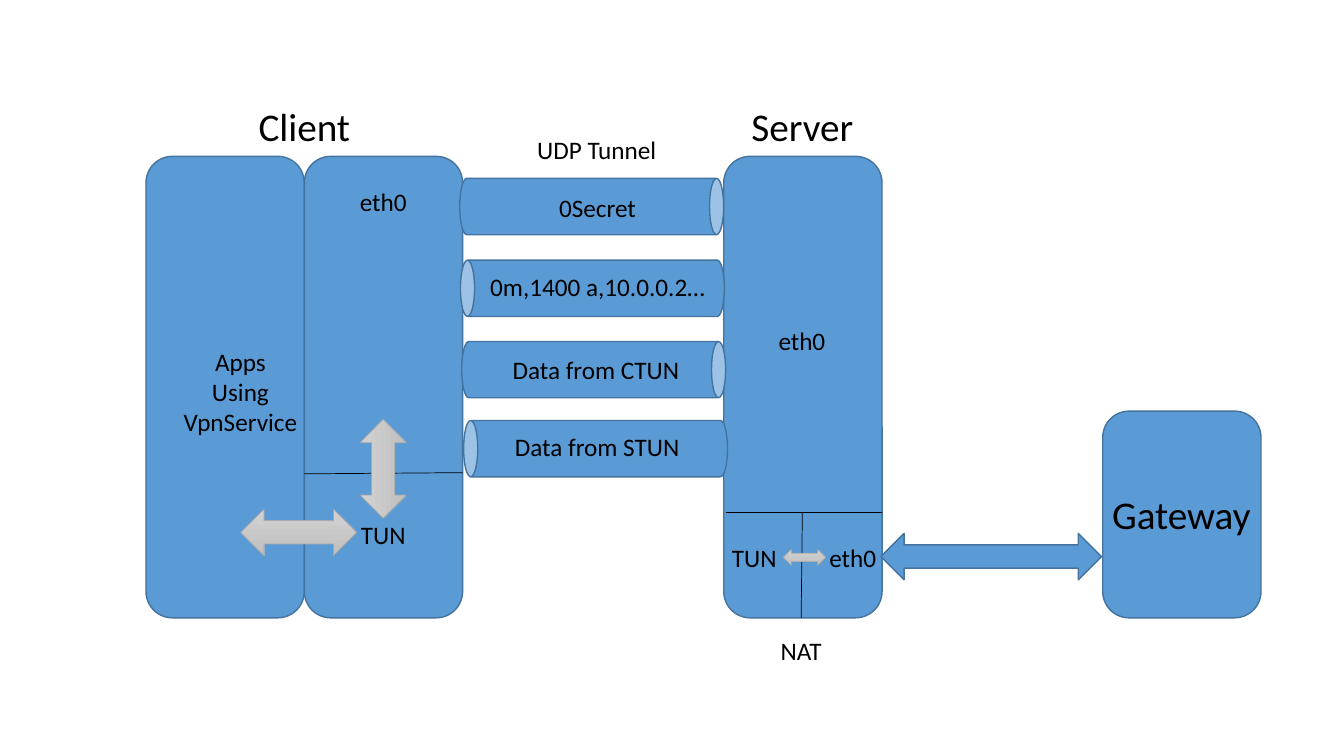
from typing import NamedTuple, Optional

from lxml import etree
from pptx import Presentation
from pptx import util as u
from pptx.dml.color import RGBColor
from pptx.enum import shapes, text
from pptx.oxml.ns import qn

BLUE = RGBColor(0x5B, 0x9B, 0xD5)
NAVY = RGBColor(0x43, 0x73, 0x9E)
BLACK = RGBColor(0, 0, 0)
GREY = RGBColor(0xA5, 0xA5, 0xA5)
GREY_TOP = RGBColor(0xD2, 0xD2, 0xD2)
GREY_BOTTOM = RGBColor(0xC0, 0xC0, 0xC0)

ROUNDED = shapes.MSO_SHAPE.ROUNDED_RECTANGLE
CAN = shapes.MSO_SHAPE.CAN
ARROW = shapes.MSO_SHAPE.LEFT_RIGHT_ARROW

BOX_W, BOX_TOP, BOX_H = 3.99, 3.94, 11.63
APPS_X, CLIENT_X, SERVER_X, GATEWAY_X = 3.68, 7.67, 18.24, 27.79
CAN_W, CAN_H = 1.42, 6.65
ARROW_H = 1.17
TITLE, BODY = 28, 18


class Block(NamedTuple):
    kind: shapes.MSO_SHAPE
    x: float
    y: float
    w: float
    h: float
    rotation: int = 0
    grey: bool = False


class Divider(NamedTuple):
    x1: float
    y1: float
    x2: float
    y2: float


class Label(NamedTuple):
    words: str
    center: float
    y: float
    w: float = 3.53
    size: int = BODY


class Tunnel(NamedTuple):
    x: float
    y: float
    rotation: int
    label: Label


BOXES = [
    Block(ROUNDED, APPS_X, BOX_TOP, BOX_W, BOX_H),
    Block(ROUNDED, CLIENT_X, BOX_TOP, BOX_W, BOX_H),
    Block(ROUNDED, SERVER_X, BOX_TOP, BOX_W, BOX_H),
    Block(ROUNDED, GATEWAY_X, 10.36, BOX_W, 5.21),
]
DIVIDERS = [
    Divider(CLIENT_X, 11.94, CLIENT_X + BOX_W, 11.91),
    Divider(18.29, 12.9, SERVER_X + BOX_W, 12.9),
    Divider(20.19, BOX_TOP + BOX_H, 20.22, 12.9),
]
TUNNELS = [
    Tunnel(14.2, 1.88, 90, Label("0Secret", 15.06, 4.72)),
    Tunnel(14.22, 3.94, 270, Label("0m,1400 a,10.0.0.2…", 15.06, 6.71, 6.45)),
    Tunnel(14.25, 5.99, 90, Label("Data from CTUN", 15.02, 8.81, 5.31)),
    Tunnel(14.3, 7.98, 270, Label("Data from STUN", 15.05, 10.74, 5.31)),
]
ARROWS = [
    Block(ARROW, 6.07, 12.83, 2.92, ARROW_H, grey=True),
    Block(ARROW, 8.41, 11.23, 2.49, ARROW_H, 270, grey=True),
    Block(ARROW, 19.74, 13.84, 1.07, 0.41, grey=True),
    Block(ARROW, 22.2, 13.44, 5.56, ARROW_H),
]
LABELS = [
    Label("Client", 7.67, 2.46, 6.81, TITLE),
    Label("Server", 20.22, 2.46, 6.81, TITLE),
    Label("Gateway", 29.77, 12.24, 6.81, TITLE),
    Label("UDP Tunnel", 15.04, 3.25, 5.84),
    Label("Apps\nUsing\nVpnService", 6.06, 8.59),
    Label("eth0", 9.66, 4.57),
    Label("TUN", 9.66, 12.95),
    Label("eth0", 20.21, 8.08),
    Label("TUN", 19.01, 13.54),
    Label("eth0", 21.49, 13.54, 3.05),
    Label("NAT", 20.19, 15.88, 2.18),
]

prs = Presentation()
prs.slide_width, prs.slide_height = u.Cm(33.87), u.Cm(19.05)
s = prs.slides.add_slide(prs.slide_layouts[6])


def add_block(b: Block) -> None:
    sp = s.shapes.add_shape(b.kind, u.Cm(b.x), u.Cm(b.y), u.Cm(b.w), u.Cm(b.h))
    sp.rotation = b.rotation
    sp.shadow.inherit = False
    if b.grey:
        sp.fill.gradient()
        sp.fill.gradient_angle = 270
        for stop, color in zip(sp.fill.gradient_stops, (GREY_TOP, GREY_BOTTOM)):
            stop.color.rgb = color
    else:
        sp.fill.solid()
        sp.fill.fore_color.rgb = BLUE
    sp.line.color.rgb = GREY if b.grey else NAVY
    sp.line.width = u.Pt(0.5 if b.grey else 1)


def add_divider(d: Divider) -> None:
    line = s.shapes.add_connector(
        shapes.MSO_CONNECTOR.STRAIGHT, u.Cm(d.x1), u.Cm(d.y1), u.Cm(d.x2), u.Cm(d.y2))
    line.line.color.rgb = BLACK
    line.line.width = u.Pt(0.5)
    etree.SubElement(line._element.spPr, qn("a:effectLst"))


def add_text(words: str, *, x: float, y: float, w: float, h: float, size: int,
             color: RGBColor = BLACK, font: Optional[str] = "Calibri") -> None:
    tf = s.shapes.add_textbox(u.Cm(x), u.Cm(y), u.Cm(w), u.Cm(h)).text_frame
    tf.word_wrap = True
    tf.auto_size = text.MSO_AUTO_SIZE.SHAPE_TO_FIT_TEXT
    for i, line in enumerate(words.split("\n")):
        p = tf.add_paragraph() if i else tf.paragraphs[0]
        p.alignment = text.PP_ALIGN.CENTER
        r = p.add_run()
        r.text = line
        r.font.name, r.font.size = font, u.Pt(size)
        r.font.color.rgb = color


def add_label(label: Label) -> None:
    lines = label.words.count("\n") + 1
    height = 0.25 + lines * label.size * 0.043
    add_text(label.words, x=label.center - label.w / 2, y=label.y,
             w=label.w, h=height, size=label.size)


for box in BOXES:
    add_block(box)
for divider in DIVIDERS:
    add_divider(divider)
for tunnel in TUNNELS:
    add_block(Block(CAN, tunnel.x, tunnel.y, CAN_W, CAN_H, tunnel.rotation))
    add_label(tunnel.label)
for arrow in ARROWS:
    add_block(arrow)
for label in LABELS:
    add_label(label)

prs.save("out.pptx")
